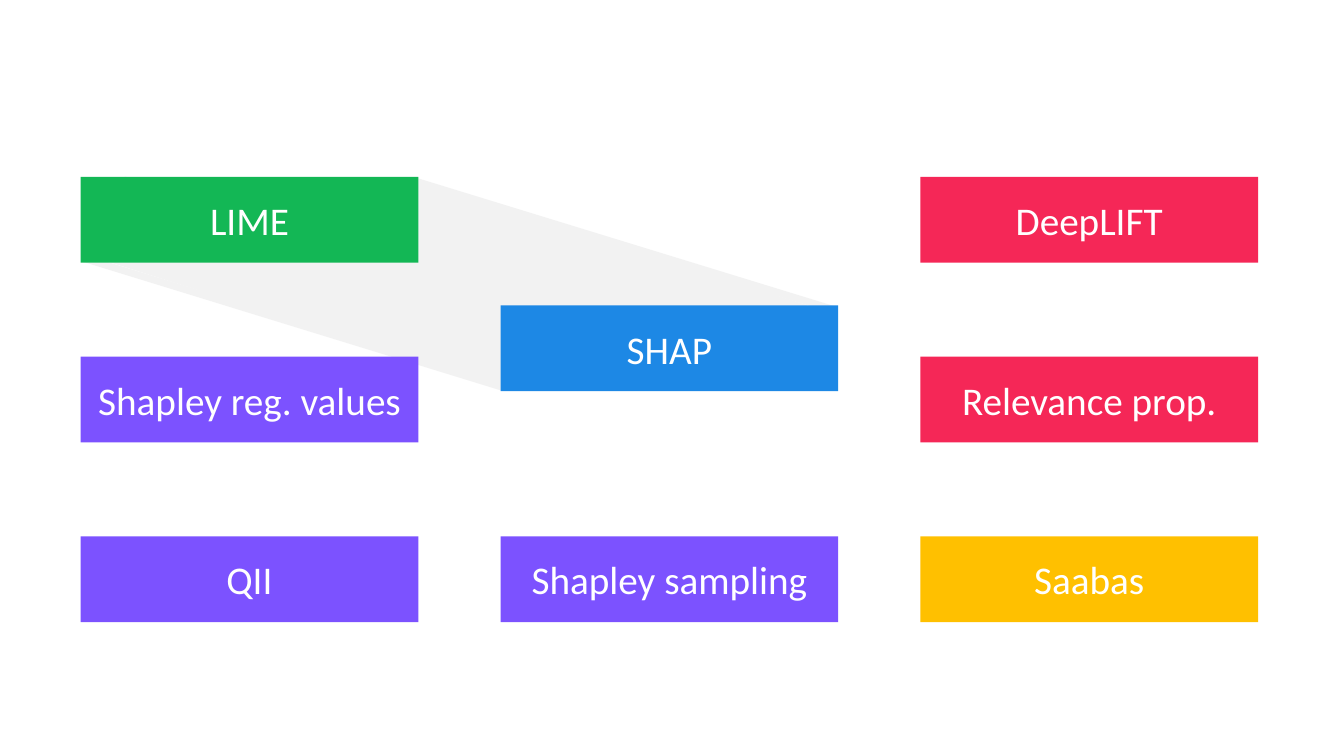
from dataclasses import dataclass
from lxml import etree
from pptx import Presentation
from pptx import util as u
from pptx.dml import color
from pptx.enum import shapes, text
from pptx.oxml import ns

Pt = u.Pt
GREY, GREEN, VIOLET = "F2F2F2", "13B755", "7C52FF"
RED, GOLD, BLUE = "F52757", "FFC000", "1D88E5"
LEFT, TOP, WIDE, HIGH = 57.6, 126.4, 241.2, 61.2
COL, ROW = 299.9, 128.4


@dataclass
class Box:
    label: str
    col: int
    row: float
    fill: str


@dataclass
class Slant:
    left: float
    top: float


@dataclass
class Line:
    x1: float
    y1: float
    x2: float
    y2: float


BOXES = [
    Box("LIME", 0, 0, GREEN),
    Box("Shapley reg. values", 0, 1, VIOLET),
    Box("QII", 0, 2, VIOLET),
    Box("Saabas", 2, 2, GOLD),
    Box("DeepLIFT", 2, 0, RED),
    Box("Relevance prop.", 2, 1, RED),
    Box("Shapley sampling", 1, 2, VIOLET),
    Box("SHAP", 1, 0.715, BLUE),
]
SLANTS = [Slant(177.1, 54), Slant(382.3, 56.9)]
LINES = [
    Line(59, 184.3, 358.6, 276.5),
    Line(297.4, 129.6, 597.6, 221.8),
    Line(247.7, 175, 496.1, 261.4),
]


def rgb(value: str) -> color.RGBColor:
    return color.RGBColor.from_string(value)


def paint(shape, fill: str) -> None:
    shape.shadow.inherit = False
    shape.fill.solid()
    shape.fill.fore_color.rgb = rgb(fill)
    shape.line.fill.background()


def draw_slant(group, slant: Slant) -> None:
    shape = group.shapes.add_shape(
        shapes.MSO_SHAPE.PARALLELOGRAM,
        Pt(slant.left), Pt(slant.top), Pt(94), Pt(293.8))
    shape.adjustments[0] = 0.34
    shape.rotation = 281.3
    paint(shape, GREY)


def draw_line(group, line: Line) -> None:
    link = group.shapes.add_connector(
        shapes.MSO_CONNECTOR.STRAIGHT,
        Pt(line.x1), Pt(line.y1), Pt(line.x2), Pt(line.y2))
    link.line.color.rgb = rgb(GREY)
    link.line.width = Pt(5)
    etree.SubElement(link._element.spPr, ns.qn("a:effectLst"))


def draw_box(slide, box: Box) -> None:
    shape = slide.shapes.add_shape(
        shapes.MSO_SHAPE.RECTANGLE,
        Pt(LEFT + box.col * COL), Pt(TOP + box.row * ROW), Pt(WIDE), Pt(HIGH))
    paint(shape, box.fill)
    frame = shape.text_frame
    frame.text = box.label
    frame.vertical_anchor = text.MSO_ANCHOR.MIDDLE
    para = frame.paragraphs[0]
    para.alignment = text.PP_ALIGN.CENTER
    para.font.name = "Calibri"
    para.font.size = Pt(28)
    para.font.color.rgb = rgb("FFFFFF")


def main() -> None:
    deck = Presentation()
    deck.slide_width, deck.slide_height = Pt(960), Pt(540)
    slide = deck.slides.add_slide(deck.slide_layouts[6])
    band = slide.shapes.add_group_shape()
    for slant in SLANTS:
        draw_slant(band, slant)
    for line in LINES:
        draw_line(band, line)
    for box in BOXES:
        draw_box(slide, box)
    deck.save("out.pptx")


if __name__ == "__main__":
    main()
